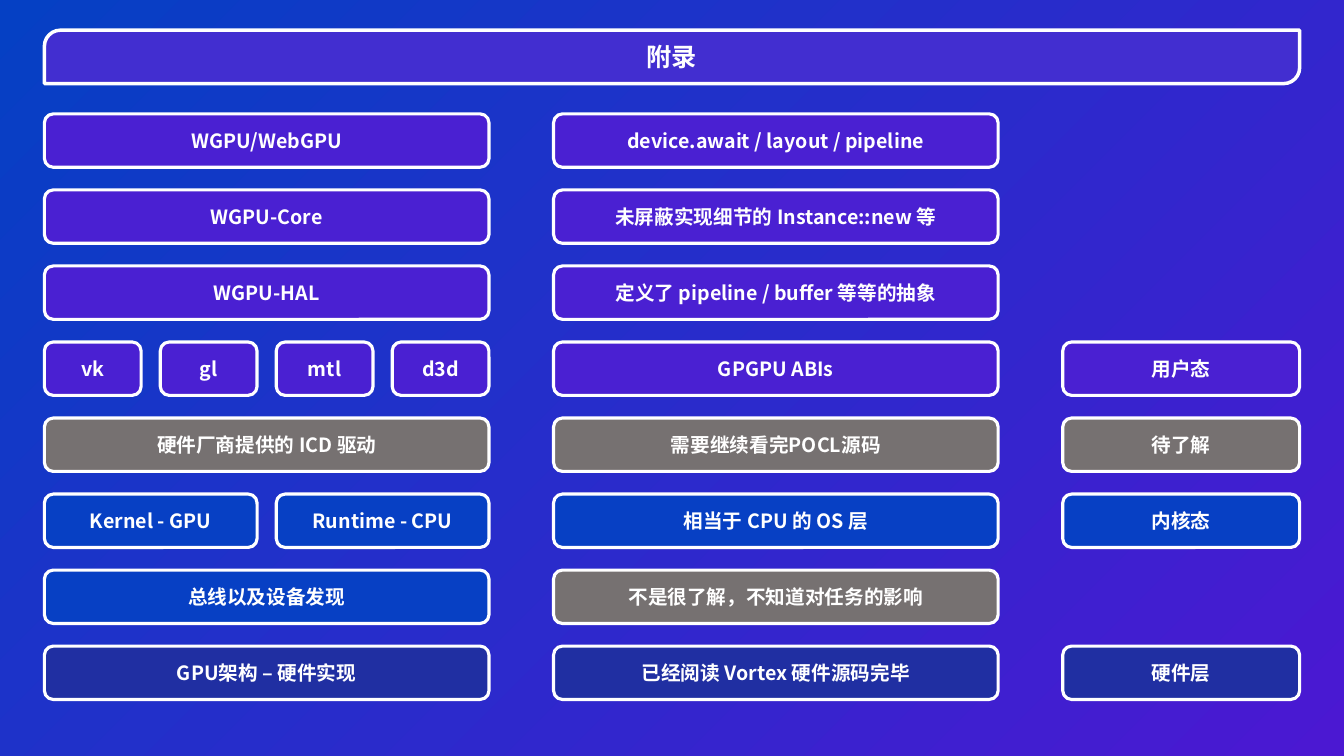
from dataclasses import dataclass

from lxml import etree
from pptx import Presentation
from pptx.dml.color import RGBColor
from pptx.enum.shapes import MSO_SHAPE
from pptx.enum.text import MSO_ANCHOR, PP_ALIGN
from pptx.oxml.ns import qn
from pptx.shapes.autoshape import Shape
from pptx.slide import Slide
from pptx.util import Inches, Pt

RECTANGLE = MSO_SHAPE.RECTANGLE
ROUNDED = MSO_SHAPE.ROUNDED_RECTANGLE
DIAGONAL_ROUNDED = MSO_SHAPE.ROUND_2_DIAG_RECTANGLE
MIDDLE = MSO_ANCHOR.MIDDLE
CENTER = PP_ALIGN.CENTER

WHITE = RGBColor(0xFF, 0xFF, 0xFF)
GRADIENT_START = RGBColor(0x05, 0x40, 0xC4)
GRADIENT_END = RGBColor(0x4B, 0x18, 0xD2)
TITLE_PURPLE = RGBColor(0x42, 0x2E, 0xD0)
USER_PURPLE = RGBColor(0x4A, 0x20, 0xD2)
UNKNOWN_GRAY = RGBColor(0x76, 0x71, 0x71)
KERNEL_BLUE = RGBColor(0x07, 0x40, 0xC4)
HARDWARE_NAVY = RGBColor(0x20, 0x2F, 0xA2)

FONT = "Noto Sans CJK SC"
SLIDE_WIDTH, SLIDE_HEIGHT = 13.33, 7.5
BOX_HEIGHT = 0.53
SPLIT_GAP = 0.19
FIRST_TOP, LAST_TOP = 1.13, 6.41


@dataclass(frozen=True)
class Column:
    left: float
    width: float


@dataclass(frozen=True)
class Cell:
    """One row of a column, split evenly among its labels."""
    color: RGBColor
    labels: tuple[str, ...]


@dataclass(frozen=True)
class Layer:
    stack: Cell
    note: Cell
    legend: Cell | None = None


STACK = Column(0.44, 4.41)
NOTES = Column(5.49, 4.41)
LEGEND = Column(10.54, 2.35)

LAYERS = (
    Layer(Cell(USER_PURPLE, ("WGPU/WebGPU",)),
          Cell(USER_PURPLE, ("device.await / layout / pipeline",))),
    Layer(Cell(USER_PURPLE, ("WGPU-Core",)),
          Cell(USER_PURPLE, ("未屏蔽实现细节的 Instance::new 等",))),
    Layer(Cell(USER_PURPLE, ("WGPU-HAL",)),
          Cell(USER_PURPLE, ("定义了 pipeline / buffer 等等的抽象",))),
    Layer(Cell(USER_PURPLE, ("vk", "gl", "mtl", "d3d")),
          Cell(USER_PURPLE, ("GPGPU ABIs",)),
          Cell(USER_PURPLE, ("用户态",))),
    Layer(Cell(UNKNOWN_GRAY, ("硬件厂商提供的 ICD 驱动",)),
          Cell(UNKNOWN_GRAY, ("需要继续看完POCL源码",)),
          Cell(UNKNOWN_GRAY, ("待了解",))),
    Layer(Cell(KERNEL_BLUE, ("Kernel - GPU", "Runtime - CPU")),
          Cell(KERNEL_BLUE, ("相当于 CPU 的 OS 层",)),
          Cell(KERNEL_BLUE, ("内核态",))),
    Layer(Cell(KERNEL_BLUE, ("总线以及设备发现",)),
          Cell(UNKNOWN_GRAY, ("不是很了解，不知道对任务的影响",))),
    Layer(Cell(HARDWARE_NAVY, ("GPU架构 – 硬件实现",)),
          Cell(HARDWARE_NAVY, ("已经阅读 Vortex 硬件源码完毕",)),
          Cell(HARDWARE_NAVY, ("硬件层",))),
)


def add_background(slide: Slide) -> None:
    background = slide.shapes.add_shape(
        RECTANGLE, 0, 0, Inches(SLIDE_WIDTH), Inches(SLIDE_HEIGHT))
    background.shadow.inherit = False
    background.line.fill.background()
    background.fill.gradient()
    background.fill.gradient_angle = 315
    for stop, color in zip(background.fill.gradient_stops,
                           (GRADIENT_START, GRADIENT_END)):
        stop.color.rgb = color


def add_box(slide: Slide, label: str, left: float, top: float, width: float,
            color: RGBColor, outline: float = 2.25, size: int = 14,
            kind: MSO_SHAPE = ROUNDED) -> Shape:
    box = slide.shapes.add_shape(
        kind, Inches(left), Inches(top), Inches(width), Inches(BOX_HEIGHT))
    box.shadow.inherit = False
    box.fill.solid()
    box.fill.fore_color.rgb = color
    box.line.color.rgb = WHITE
    box.line.width = Pt(outline)

    frame = box.text_frame
    frame.word_wrap = True
    frame.vertical_anchor = MIDDLE
    paragraph = frame.paragraphs[0]
    paragraph.alignment = CENTER
    run = paragraph.add_run()
    run.text = label
    for name, value in {"name": FONT, "size": Pt(size), "bold": True}.items():
        setattr(run.font, name, value)
    run.font.color.rgb = WHITE
    east_asian = etree.SubElement(run._r.get_or_add_rPr(), qn("a:ea"))
    east_asian.set("typeface", FONT)
    return box


def add_cell(slide: Slide, cell: Cell, column: Column, top: float) -> None:
    count = len(cell.labels)
    width = (column.width - SPLIT_GAP * (count - 1)) / count
    for index, label in enumerate(cell.labels):
        left = column.left + index * (width + SPLIT_GAP)
        add_box(slide, label, left, top, width, cell.color)


def main() -> None:
    presentation = Presentation()
    presentation.slide_width = Inches(SLIDE_WIDTH)
    presentation.slide_height = Inches(SLIDE_HEIGHT)
    slide = presentation.slides.add_slide(presentation.slide_layouts[6])

    add_background(slide)
    title = add_box(slide, "附录", STACK.left, 0.3, 12.45, TITLE_PURPLE,
                    outline=2.5, size=18, kind=DIAGONAL_ROUNDED)
    title.adjustments[0] = 0.3

    pitch = (LAST_TOP - FIRST_TOP) / (len(LAYERS) - 1)
    for row, layer in enumerate(LAYERS):
        top = FIRST_TOP + row * pitch
        add_cell(slide, layer.stack, STACK, top)
        add_cell(slide, layer.note, NOTES, top)
        if layer.legend:
            add_cell(slide, layer.legend, LEGEND, top)

    presentation.save("out.pptx")


if __name__ == "__main__":
    main()
